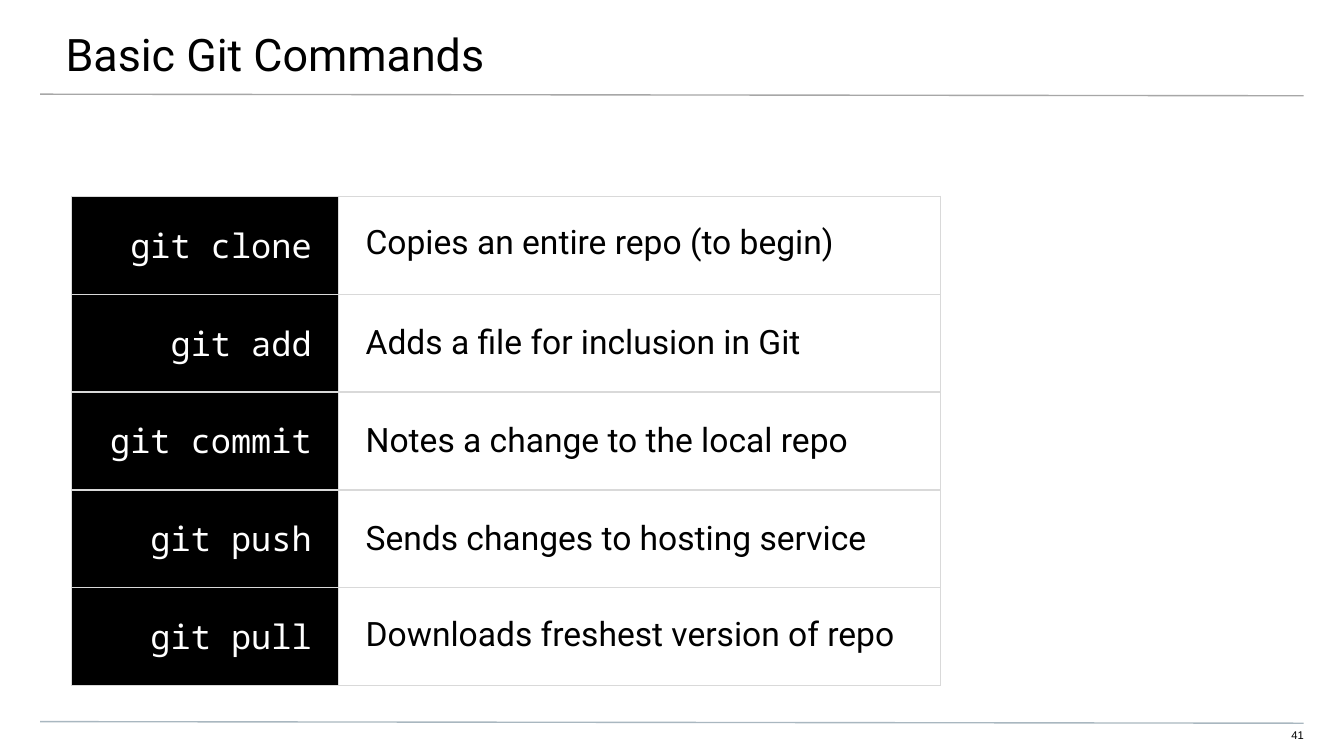
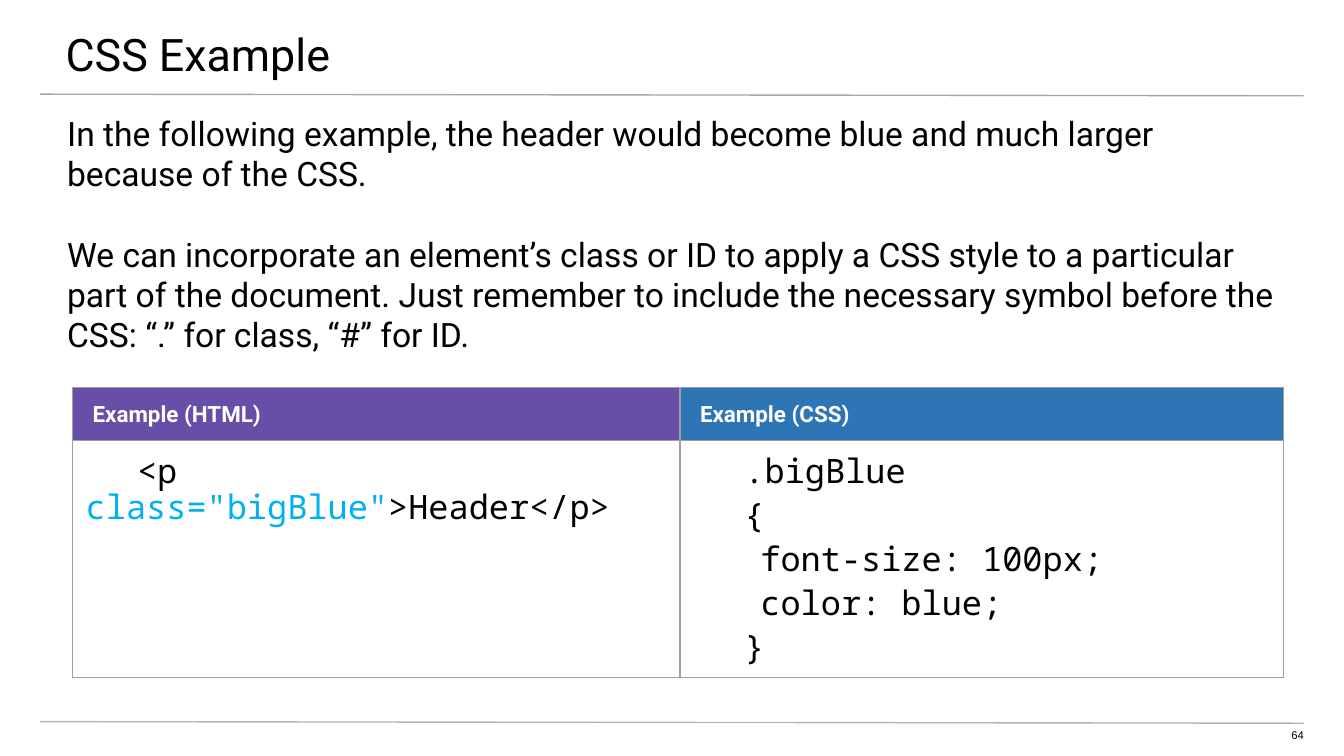
import pptx
import pptx.util
import pptx.dml.color
import pptx.enum.shapes
import pptx.enum.text
import pptx.oxml
import pptx.oxml.ns
import lxml.etree

Cm = pptx.util.Cm
Pt = pptx.util.Pt
RGBColor = pptx.dml.color.RGBColor
ALIGN = pptx.enum.text.PP_ALIGN
ANCHOR = pptx.enum.text.MSO_ANCHOR

# Shared colours and fonts
BLACK = RGBColor(0x00, 0x00, 0x00)
WHITE = RGBColor(0xFF, 0xFF, 0xFF)
TITLE_RULE = RGBColor(0xA7, 0xA7, 0xA7)
FOOTER_RULE = RGBColor(0xA9, 0xB7, 0xC0)
LIGHT_BORDER = RGBColor(0xD9, 0xD9, 0xD9)
DARK_BORDER = RGBColor(0x9E, 0x9E, 0x9E)
PURPLE = RGBColor(0x67, 0x4E, 0xA7)
BLUE = RGBColor(0x2E, 0x75, 0xB6)
CODE_BLUE = RGBColor(0x00, 0xB0, 0xF0)
SANS, MONO, NUMBER_FONT = "Roboto", "Noto Sans Mono", "Arial"

SLIDE_W, SLIDE_H = 25.4, 14.29

COMMANDS = [
    ("git clone", "Copies an entire repo (to begin)"),
    ("git add", "Adds a file for inclusion in Git"),
    ("git commit", "Notes a change to the local repo"),
    ("git push", "Sends changes to hosting service"),
    ("git pull", "Downloads freshest version of repo"),
]
CSS_INTRO = [
    "In the following example, the header would become blue and much larger "
    "because of the CSS.",
    "We can incorporate an element’s class or ID to apply a CSS style to a "
    "particular part of the document. Just remember to include the necessary "
    "symbol before the CSS: “.” for class, “#” for ID.",
]
HEADERS = [("Example (HTML)", PURPLE), ("Example (CSS)", BLUE)]
# Each code line is a list of (text, colour) pieces
HTML_CODE = [[("<p ", BLACK), ('class="bigBlue"', CODE_BLUE), (">Header</p>", BLACK)]]
CSS_CODE = [[(line, BLACK)] for line in
            (".bigBlue", "{", "\tfont-size: 100px;", "\tcolor: blue;", "}")]


def style_run(r, size, font=SANS, color=BLACK, bold=False):
    r.font.size = Pt(size)
    r.font.name = font
    r.font.color.rgb = color
    r.font.bold = bold


def set_paragraph(p, text, size, font=SANS, color=BLACK, bold=False, align=ALIGN.LEFT):
    p.text = text
    p.alignment = align
    for r in p.runs:
        style_run(r, size, font, color, bold)


def set_margins(target, left, top, right, bottom):
    target.margin_left, target.margin_top = Cm(left), Cm(top)
    target.margin_right, target.margin_bottom = Cm(right), Cm(bottom)


def add_text(slide, box, margins, lines, size, font=SANS, align=ALIGN.LEFT, gap=0):
    sp = slide.shapes.add_textbox(*(Cm(v) for v in box))
    tf = sp.text_frame
    tf.word_wrap = True
    set_margins(tf, *margins)
    tf.text = "\n".join(lines)
    for i, p in enumerate(tf.paragraphs):
        set_paragraph(p, lines[i], size, font, align=align)
        if i:
            p.space_before = Pt(gap)


def add_rule(slide, top, color):
    line = slide.shapes.add_connector(
        pptx.enum.shapes.MSO_CONNECTOR.STRAIGHT,
        Cm(0.76), Cm(top), Cm(SLIDE_W - 0.76), Cm(top + 0.03))
    line.line.color.rgb = color
    line.line.width = Pt(0.75)
    lxml.etree.SubElement(line._element.spPr, pptx.oxml.ns.qn("a:effectLst"))


def add_base_slide(prs, title, number):
    """Blank slide with page number, rules and title."""
    slide = prs.slides.add_slide(prs.slide_layouts[6])
    add_text(slide, (23.9, 13.77, 0.74, 0.3), (0, 0, 0, 0.25), [str(number)],
             6, NUMBER_FONT, ALIGN.RIGHT)
    add_rule(slide, 1.78, TITLE_RULE)
    add_rule(slide, 13.64, FOOTER_RULE)
    add_text(slide, (-0.03, 0, 25.48, 1.47), (1.27, 0.51, 0.76, 0.25), [title], 24)
    return slide


def add_grid(slide, left, top, widths, heights, border):
    """Unstyled table with one border colour."""
    frame = slide.shapes.add_table(len(heights), len(widths), Cm(left), Cm(top),
                                   Cm(sum(widths)), Cm(sum(heights)))
    table = frame.table
    table.first_row = table.horz_banding = False
    for column, width in zip(table.columns, widths):
        column.width = Cm(width)
    for row, height in zip(table.rows, heights):
        row.height = Cm(height)
    for cell in table.iter_cells():
        tcPr = cell._tc.get_or_add_tcPr()
        for side in ("lnL", "lnR", "lnT", "lnB"):
            tcPr.append(pptx.oxml.parse_xml(
                f'<a:{side} {pptx.oxml.ns.nsdecls("a")} w="{Pt(0.75)}">'
                f'<a:solidFill><a:srgbClr val="{border}"/></a:solidFill></a:{side}>'))
        cell.fill.background()
    return table


def fill_cell(cell, color):
    cell.fill.solid()
    cell.fill.fore_color.rgb = color


def add_command_table(slide, left, top):
    table = add_grid(slide, left, top, (5.05, 11.38), [1.85] * len(COMMANDS),
                     LIGHT_BORDER)
    for cell in table.iter_cells():
        set_margins(cell, 0.51, 0, 0.51, 0)
        cell.vertical_anchor = ANCHOR.MIDDLE
    for row, (command, meaning) in enumerate(COMMANDS):
        name, note = table.cell(row, 0), table.cell(row, 1)
        fill_cell(name, BLACK)
        p = name.text_frame.paragraphs[0]
        set_paragraph(p, command, 18, MONO, WHITE, align=ALIGN.RIGHT)
        p.space_after = Pt(2)
        p = note.text_frame.paragraphs[0]
        set_paragraph(p, meaning, 18)
        # The first and last notes are set tighter
        if row in (0, len(COMMANDS) - 1):
            p.line_spacing = 0.8
        else:
            p.space_after = Pt(2)


def write_code(cell, lines):
    tf = cell.text_frame
    for i, pieces in enumerate(lines):
        p = tf.add_paragraph() if i else tf.paragraphs[0]
        pPr = p._p.get_or_add_pPr()
        pPr.set("marL", "0")
        pPr.set("indent", str(Cm(0.97)))
        p.line_spacing = 0.8
        if i:
            p.space_before = Pt(4)
        for text, color in pieces:
            r = p.add_run()
            r.text = text
            style_run(r, 18, MONO, color)


def add_code_table(slide, left, top):
    table = add_grid(slide, left, top, (11.48, 11.4), (0.81, 4.47), DARK_BORDER)
    for col, (header, color) in enumerate(HEADERS):
        cell = table.cell(0, col)
        fill_cell(cell, color)
        set_margins(cell, 0.38, 0.25, 0.25, 0.25)
        cell.vertical_anchor = ANCHOR.BOTTOM
        set_paragraph(cell.text_frame.paragraphs[0], header, 12, color=WHITE, bold=True)
    for col, lines in enumerate((HTML_CODE, CSS_CODE)):
        cell = table.cell(1, col)
        set_margins(cell, 0.25, 0.25, 0.25, 0.25)
        write_code(cell, lines)


def build_commands_slide(prs):
    slide = add_base_slide(prs, "Basic Git Commands", 41)
    add_command_table(slide, 1.35, 3.71)


def build_css_slide(prs):
    slide = add_base_slide(prs, "CSS Example", 64)
    add_text(slide, (0, 1.88, SLIDE_W, 3.05), (1.27, 0.25, 1.27, 0), CSS_INTRO,
             18, gap=21.6)
    add_code_table(slide, 1.37, 7.32)


def main():
    prs = pptx.Presentation()
    prs.slide_width, prs.slide_height = Cm(SLIDE_W), Cm(SLIDE_H)
    build_commands_slide(prs)
    build_css_slide(prs)
    prs.save("out.pptx")


if __name__ == "__main__":
    main()
